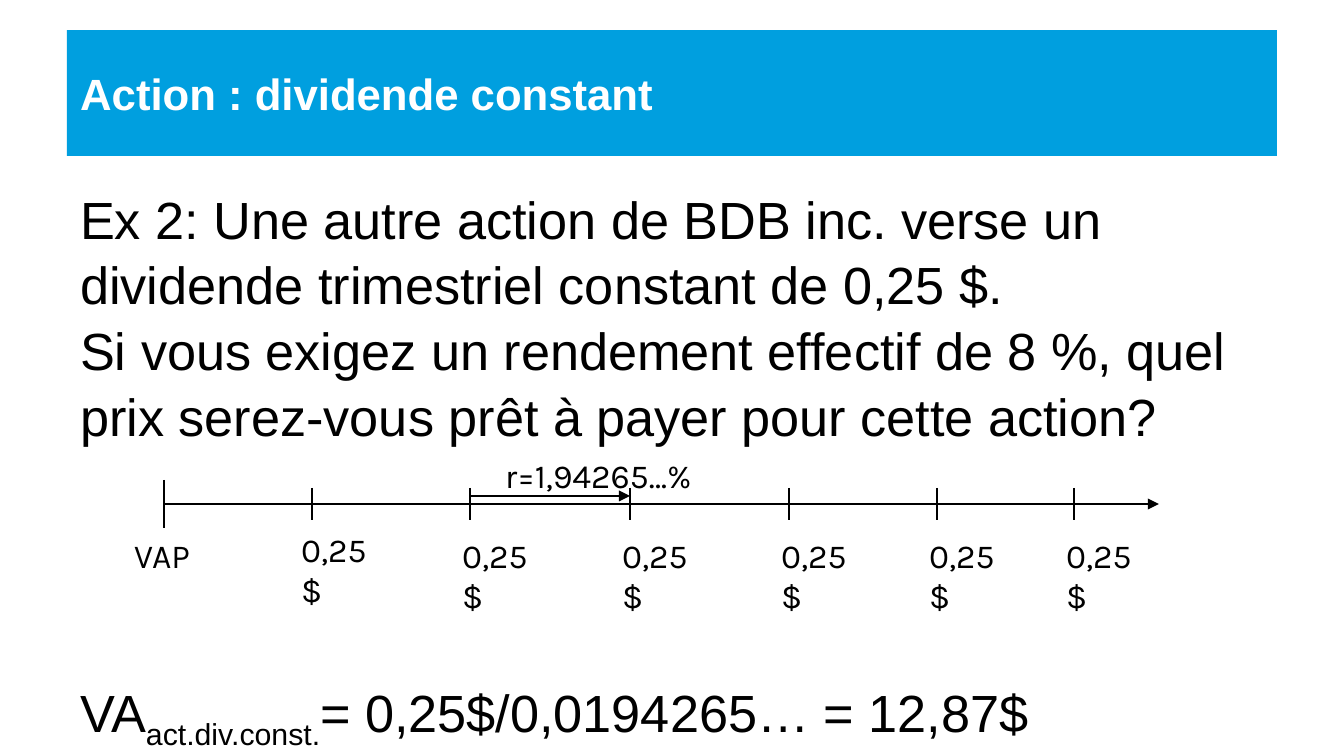
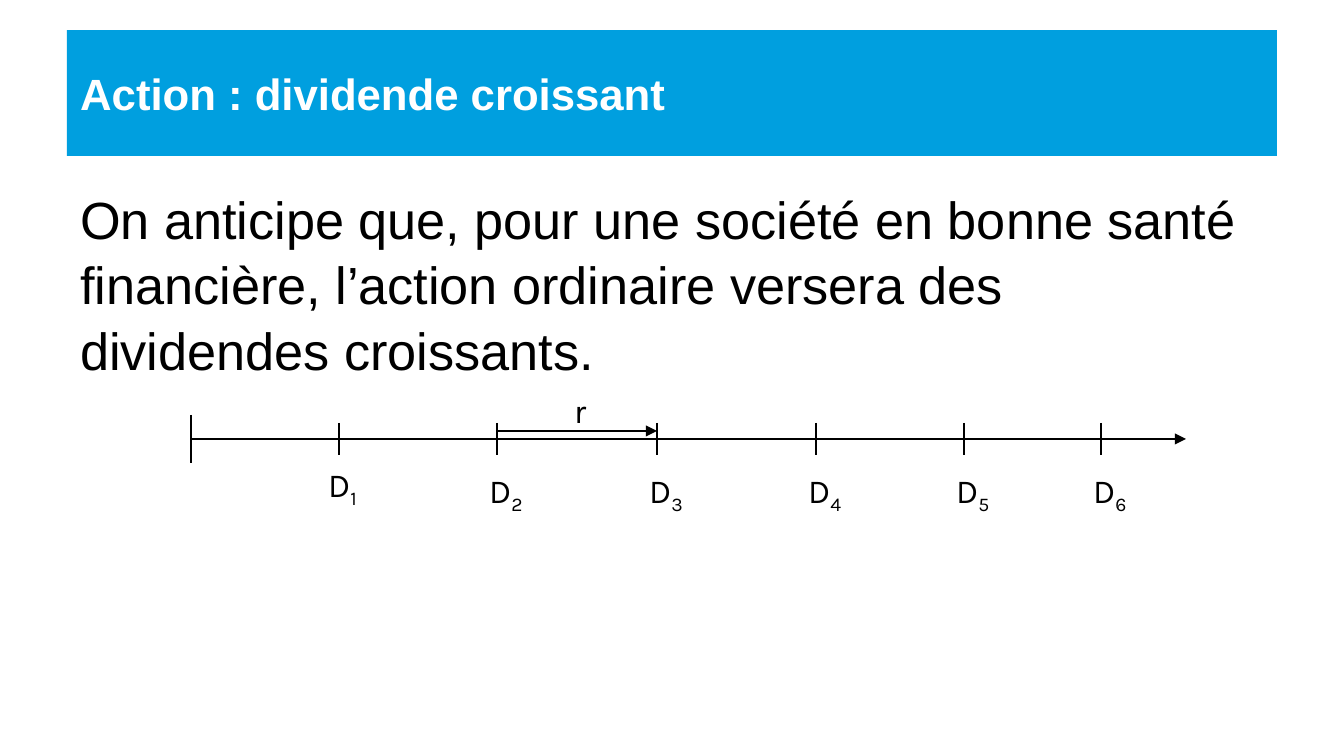
from lxml import etree
from pptx import Presentation
from pptx.dml.color import RGBColor
from pptx.enum.shapes import MSO_CONNECTOR, MSO_SHAPE
from pptx.enum.text import MSO_ANCHOR, PP_ALIGN
from pptx.oxml.ns import qn
from pptx.util import Emu, Pt

STRAIGHT, RECTANGLE = MSO_CONNECTOR.STRAIGHT, MSO_SHAPE.RECTANGLE
TOP, MIDDLE, LEFT = MSO_ANCHOR.TOP, MSO_ANCHOR.MIDDLE, PP_ALIGN.LEFT

# Content: a paragraph is a list of (text, is_subscript) runs
SLIDES = [
    {
        "title": "Action : dividende constant",
        "body": [
            [("Ex 2: Une autre action de BDB inc. verse un dividende "
              "trimestriel constant de 0,25 $. \n"
              "Si vous exigez un rendement effectif de 8 %, quel prix "
              "serez-vous prêt à payer pour cette action?", False)],
            [("VA", False), ("act.div.const.", True),
             ("= 0,25$/0,0194265… = 12,87$", False)],
        ],
        "body_box": (67, 177, 1187, 551),
        "origin": (164, 504),
        "start": "VAP",
        "payments": [[("0,25$", False)]] * 6,
        "payment_width": 111,
        "stacked": True,
        "rate": ("r=1,94265…%", 328, 247),
    },
    {
        "title": "Action : dividende croissant",
        "body": [
            [("On anticipe que, pour une société en bonne santé financière, "
              "l’action ordinaire versera des dividendes croissants.", False)],
        ],
        "body_box": (67, 177, 1187, 499),
        "origin": (191, 439),
        "start": None,
        "payments": [[("D", False), (str(period), True)] for period in range(1, 7)],
        "payment_width": 62,
        "stacked": False,
        "rate": ("r", 370, 39),
    },
]

# Shared look
SLIDE_SIZE = (1344, 756)
BAND_BOX = (67, 30, 1210, 126)
BLUE, WHITE, BLACK = "009FDF", "FFFFFF", "000000"
TITLE_FONT = {"name": "Arial", "size": Pt(23.4), "bold": True}
BODY_FONT = {"name": "Arial", "size": Pt(28)}
LABEL_FONT = {"name": "Karla", "size": Pt(18)}
RESULT_GAP = Pt(123)

# Timeline, measured from its origin
TICKS = [148, 306, 466, 625, 773, 910]
AXIS_END = 995
TICK_HALF, START_HALF = 16, 24
RATE_LIFT, RATE_LABEL_TOP = 8, -56
LABEL_HEIGHT = 54
FIRST_LABEL, OTHER_LABEL = (-24, 18), (-21, 24)
STACK_INSET = 24


def px(value):
    return Emu(round(value * 914400 / 134.4))


def color(value):
    return RGBColor.from_string(value)


def add_runs(paragraph, runs, font_format, text_color):
    paragraph.alignment = LEFT
    for text, is_subscript in runs:
        for index, line in enumerate(text.split("\n")):
            if index:
                paragraph.add_line_break()
            run = paragraph.add_run()
            run.text = line
            for name, value in font_format.items():
                setattr(run.font, name, value)
            run.font.color.rgb = color(text_color)
            if is_subscript:
                run._r.get_or_add_rPr().set("baseline", "-25000")


def add_text(slide, box, runs, font_format, **frame_format):
    shape = slide.shapes.add_textbox(*map(px, box))
    frame_format = {"word_wrap": False, "vertical_anchor": TOP, **frame_format}
    for name, value in frame_format.items():
        setattr(shape.text_frame, name, value)
    add_runs(shape.text_frame.paragraphs[0], runs, font_format, BLACK)
    return shape


def add_line(slide, start, end, width=0.75, arrow=False):
    connector = slide.shapes.add_connector(STRAIGHT, *map(px, (*start, *end)))
    connector.line.width = Pt(width)
    connector.line.color.rgb = color(BLACK)
    if arrow:
        line = connector.line._get_or_add_ln()
        etree.SubElement(line, qn("a:tailEnd"), type="triangle")
    etree.SubElement(connector._element.spPr, qn("a:effectLst"))


def add_title(slide, title):
    band = slide.shapes.add_shape(RECTANGLE, *map(px, BAND_BOX))
    band.shadow.inherit = False
    band.fill.solid()
    band.fill.fore_color.rgb = color(BLUE)
    band.line.fill.background()
    band.text_frame.word_wrap = True
    band.text_frame.vertical_anchor = MIDDLE
    add_runs(band.text_frame.paragraphs[0], [(title, False)], TITLE_FONT, WHITE)


def add_body(slide, content):
    first, *others = content["body"]
    shape = add_text(slide, content["body_box"], first, BODY_FONT, word_wrap=True)
    for runs in others:
        paragraph = shape.text_frame.add_paragraph()
        paragraph.space_before = RESULT_GAP
        add_runs(paragraph, runs, BODY_FONT, BLACK)
    for paragraph in shape.text_frame.paragraphs:
        paragraph.line_spacing = 1.05


def add_timeline(slide, content):
    left, axis = content["origin"]

    # Axis and ticks
    add_line(slide, (left, axis), (left + AXIS_END, axis), arrow=True)
    add_line(slide, (left, axis - START_HALF), (left, axis + START_HALF), width=1)
    for tick in TICKS:
        x = left + tick
        add_line(slide, (x, axis - TICK_HALF), (x, axis + TICK_HALF))

    # Rate over one period
    rate_y = axis - RATE_LIFT
    add_line(slide, (left + TICKS[1], rate_y), (left + TICKS[2], rate_y), arrow=True)
    rate, rate_left, rate_width = content["rate"]
    rate_box = (left + rate_left, axis + RATE_LABEL_TOP, rate_width, LABEL_HEIGHT)
    add_text(slide, rate_box, [(rate, False)], LABEL_FONT)

    # Labels under the axis
    if content["start"]:
        start_box = (left - 43, axis + OTHER_LABEL[1], 86, LABEL_HEIGHT)
        add_text(slide, start_box, [(content["start"], False)], LABEL_FONT)
    frame_format = {}
    if content["stacked"]:
        frame_format = {"word_wrap": True, "margin_right": px(STACK_INSET)}
    for index, (tick, runs) in enumerate(zip(TICKS, content["payments"])):
        shift, drop = OTHER_LABEL if index else FIRST_LABEL
        box = (left + tick + shift, axis + drop, content["payment_width"], LABEL_HEIGHT)
        add_text(slide, box, runs, LABEL_FONT, **frame_format)


def main():
    presentation = Presentation()
    presentation.slide_width, presentation.slide_height = map(px, SLIDE_SIZE)
    for content in SLIDES:
        slide = presentation.slides.add_slide(presentation.slide_layouts[6])
        add_title(slide, content["title"])
        add_body(slide, content)
        add_timeline(slide, content)
    presentation.save("out.pptx")


if __name__ == "__main__":
    main()
